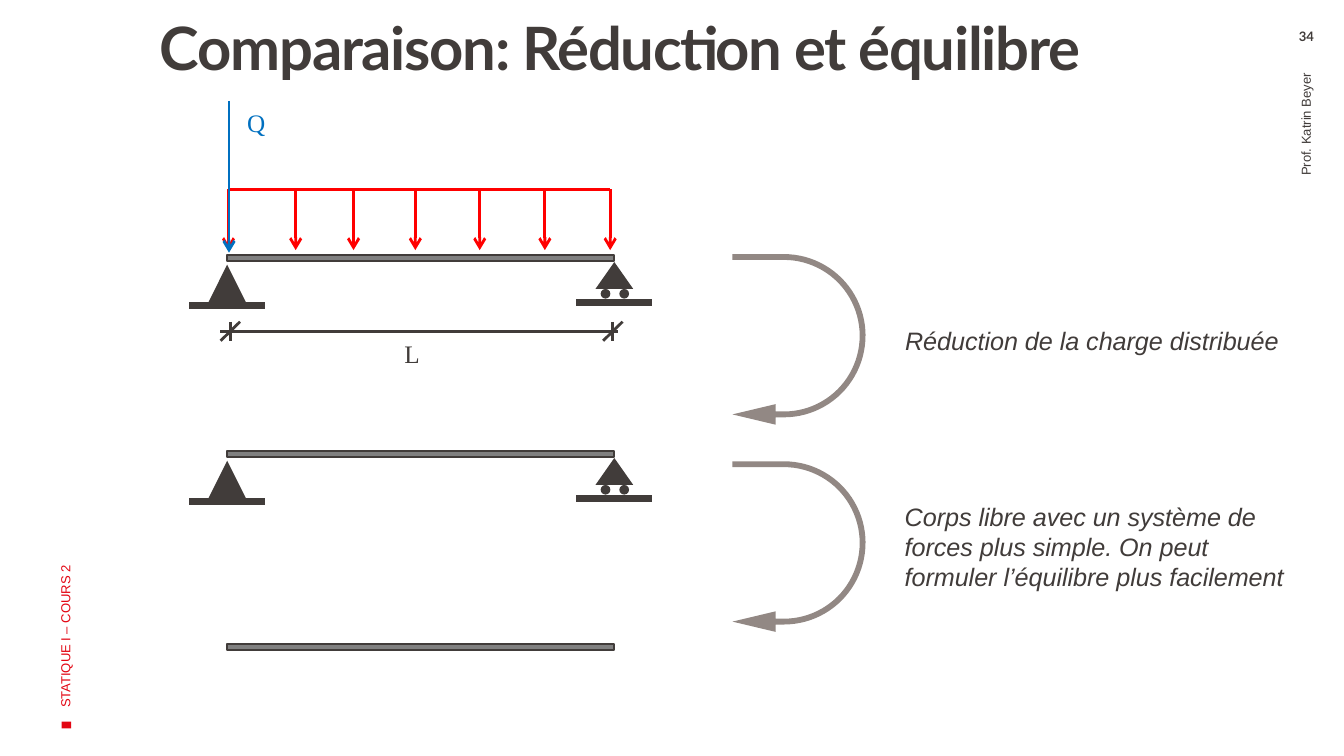
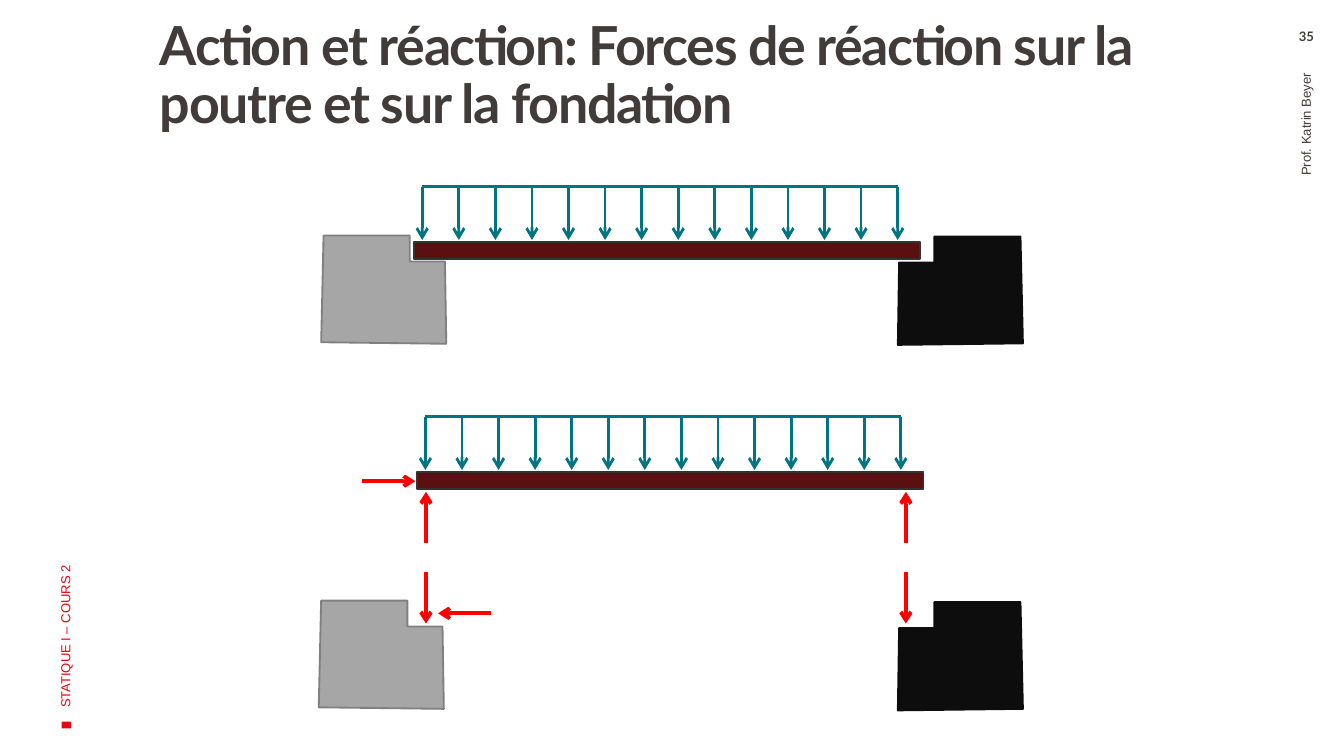
from pptx import Presentation
from pptx.dml.color import RGBColor
from pptx.enum.shapes import MSO_CONNECTOR, MSO_SHAPE
from pptx.enum.text import MSO_ANCHOR, MSO_AUTO_SIZE, PP_ALIGN
from pptx.oxml.ns import qn
from pptx.util import Pt
from lxml import etree

RECT, OVAL = MSO_SHAPE.RECTANGLE, MSO_SHAPE.OVAL
WEDGE, UTURN = MSO_SHAPE.ISOSCELES_TRIANGLE, MSO_SHAPE.U_TURN_ARROW
LINE = MSO_CONNECTOR.STRAIGHT
TOP, MID = MSO_ANCHOR.TOP, MSO_ANCHOR.MIDDLE
LEFT, MEAN, RIGHT = PP_ALIGN.LEFT, PP_ALIGN.CENTER, PP_ALIGN.RIGHT
FIXED = MSO_AUTO_SIZE.NONE

DARK, CRIMSON, RED, BLUE = "413C3A", "E30613", "FF0000", "0070C0"
TEAL, GREY, TAUPE, MAROON = "007480", "808080", "928884", "5A1010"
EDGE, STONE, BLACK = "343131", "A6A6A6", "0D0D0D"
SANS, HEAD, SERIF = "Arial", "Lato", "Times New Roman"
SPAN = 207.4
BLOCK = [(47.5, 0), (47.5, 13.9), (66.3, 13.9), (67, 58), (0, 57.2), (1.3, 0)]
WIDE = 67


def hue(code):
    """Turn a hex string into a colour."""
    return RGBColor.from_string(code)


def paint(shape, fill, edge=None):
    """Set the fill and outline of a shape and drop its shadow."""
    shape.shadow.inherit = False
    shape.fill.solid()
    shape.fill.fore_color.rgb = hue(fill)
    if edge:
        shape.line.color.rgb = hue(edge)
        shape.line.width = Pt(1)
    else:
        shape.line.fill.background()
    return shape


def solid(shapes, kind, box, fill, edge=None):
    """Add a painted preset shape."""
    return paint(shapes.add_shape(kind, *map(Pt, box)), fill, edge)


def rule(shapes, start, end, color, width=1.5, tip=False):
    """Add a line, with an arrowhead at its end if wanted."""
    line = shapes.add_connector(LINE, *map(Pt, (*start, *end)))
    line.line.color.rgb = hue(color)
    line.line.width = Pt(width)
    props = line._element.spPr
    if tip:
        etree.SubElement(props.find(qn("a:ln")), qn("a:tailEnd"), type="arrow")
    etree.SubElement(props, qn("a:effectLst"))


def style(frame, size, font, color, bold=False, slant=False, align=LEFT):
    """Format the only paragraph of a frame."""
    para = frame.paragraphs[0]
    para.alignment = align
    for run in para.runs:
        face = run.font
        face.size, face.name = Pt(size), font
        face.bold, face.italic = bold, slant
        face.color.rgb = hue(color)


def inset(frame, left, top, right, low):
    """Set the four margins of a frame."""
    frame.margin_left, frame.margin_top = Pt(left), Pt(top)
    frame.margin_right, frame.margin_bottom = Pt(right), Pt(low)


def label(shapes, box, words, size, font, color, wrap=True, **looks):
    """Add a text box holding one paragraph."""
    shape = shapes.add_textbox(*map(Pt, box))
    frame = shape.text_frame
    frame.text = words
    frame.word_wrap = wrap
    style(frame, size, font, color, **looks)
    return shape


def side(shapes, box, words, color, align=LEFT):
    """Add a small label that reads upwards."""
    shape = label(shapes, box, words, 7, SANS, color, align=align)
    shape.rotation = 270
    shape.text_frame.vertical_anchor = MID
    return shape.text_frame


def base(deck, words, size, page):
    """Add a slide with its title, side labels and page number."""
    slide = deck.slides.add_slide(deck.slide_layouts[5])
    title, shapes = slide.shapes.title, slide.shapes
    title.left, title.top, title.width, title.height = map(Pt, (71.3, 10.1, 552.2, 84.2))
    frame = title.text_frame
    frame.text = words
    frame.word_wrap, frame.auto_size = True, FIXED
    frame.vertical_anchor = TOP
    inset(frame, 14.4, 0, 5.8, 3.6)
    style(frame, size, HEAD, DARK, bold=True)
    para = frame.paragraphs[0]
    para.line_spacing = 0.9
    para.runs[0].font._element.set("spc", "-70")
    solid(shapes, RECT, (33.8, 385.9, 3.6, 5), CRIMSON).rotation = 270
    side(shapes, (-96.5, 218.9, 262.8, 72), "STATIQUE I – COURS 2", CRIMSON)
    name = side(shapes, (560.2, 147.6, 278.6, 40.3), "Prof. Katrin Beyer", DARK, RIGHT)
    name.margin_right = Pt(10.8)
    number = label(shapes, (679.7, 15.1, 40.3, 13), str(page), 7, HEAD, DARK,
                   bold=True, align=MEAN)
    inset(number.text_frame, 7.2, 0, 7.2, 0)
    return shapes


def load(shapes, spots, top, tip, color):
    """Draw a distributed load with an arrow at each spot."""
    rule(shapes, (spots[0], top), (spots[-1], top), color)
    for x in spots:
        rule(shapes, (x, top), (x, tip), color, tip=True)


def beam(shapes, x, y):
    """Draw the thin grey beam."""
    solid(shapes, RECT, (x, y, SPAN, 3.4), GREY, DARK)


def props(shapes, x, y):
    """Draw the pinned and the rolling support of a beam."""
    end = x + SPAN
    solid(shapes, WEDGE, (x - 10.1, y + 5.2, 20.2, 20.2), DARK)
    solid(shapes, WEDGE, (end - 10.1, y + 3.8, 20.2, 14.4), DARK)
    for mid, drop in ((x, 27), (end, 25.4)):
        rule(shapes, (mid - 20.4, y + drop), (mid + 20.4, y + drop), DARK, 4)
    for shift in (-4.7, 5.3):
        solid(shapes, OVAL, (end + shift - 2.6, y + 18.2, 5.2, 5.2), DARK)


def measure(shapes, x, y):
    """Draw the dimension line below a beam."""
    rule(shapes, (x - 3.7, y), (x + SPAN + 2.1, y), DARK)
    for mid in (x + 1.7, x + SPAN - 0.8):
        rule(shapes, (mid, y - 5.1), (mid, y + 5.1), DARK)
        rule(shapes, (mid - 5.2, y + 5.1), (mid + 5.2, y - 5.1), DARK)
    label(shapes, (x + 87.8, y + 0.3, 23, 26.6), "L", 13.5, SERIF, DARK, wrap=False)


def loaded(shapes, x, y):
    """Draw the supported beam with its loads and length."""
    spots = [x + step for step in (0.7, 36.7, 67.7, 100.8, 135.3, 170.2, 205.2)]
    load(shapes, spots, y - 35.1, y - 2.6, RED)
    props(shapes, x, y)
    measure(shapes, x, y + 40.9)
    rule(shapes, (x + 1, y - 82.6), (x + 1, y - 1.2), BLUE, tip=True)
    label(shapes, (x + 3.6, y - 82.6, 25.2, 26.6), "Q", 13.5, SERIF, BLUE, wrap=False)
    beam(shapes, x, y)


def turn(shapes, x, y):
    """Draw an arrow that leads down to the next step."""
    arrow = solid(shapes, UTURN, (x, y, 91.4, 71.3), TAUPE)
    arrow.rotation = 90
    for i, part in enumerate((0.044, 0.077, 0.324, 0.676, 1)):
        arrow.adjustments[i] = part


def block(shapes, x, y, flip=False):
    """Draw a notched foundation, mirrored on the right side."""
    spots = [(Pt(x + (WIDE - a if flip else a)), Pt(y + b)) for a, b in BLOCK]
    pen = shapes.build_freeform(*spots[0])
    pen.add_line_segments(spots[1:], close=True)
    fill, edge = (BLACK, BLACK) if flip else (STONE, GREY)
    paint(pen.convert_to_shape(), fill, edge)


def girder(shapes, x, y):
    """Draw the dark beam under its distributed load."""
    solid(shapes, RECT, (x, y, 271.4, 9.4), MAROON, EDGE)
    load(shapes, [x + 4.5 + i * 254.7 / 13 for i in range(14)], y - 29.4, y - 0.9, TEAL)


def forces(shapes, x, y):
    """Draw the reactions on the beam and on the foundations."""
    for mid in (x + 4.8, x + 261.9):
        rule(shapes, (mid, y + 38.2), (mid, y + 10.8), RED, 2, True)
        rule(shapes, (mid, y + 54), (mid, y + 81.4), RED, 2, True)
    rule(shapes, (x - 29.7, y + 5.1), (x - 0.9, y + 5.1), RED, 2, True)
    rule(shapes, (x + 39.4, y + 75.9), (x + 11.3, y + 75.9), RED, 2, True)


def reduce(deck):
    """Build the slide on reduction and equilibrium."""
    shapes = base(deck, "Comparaison: Réduction et équilibre", 32, 34)
    x = 121.7
    loaded(shapes.add_group_shape().shapes, x, 136.6)
    lower = shapes.add_group_shape().shapes
    props(lower, x, 241.6)
    beam(lower, x, 241.6)
    beam(shapes, x, 345)
    for y in (146.2, 257.2):
        turn(shapes, 382.3, y)
    label(shapes, (477.8, 170.6, 217.4, 23.8), "Réduction de la charge distribuée",
          13.5, SANS, DARK, wrap=False, slant=True)
    label(shapes, (477.6, 265, 221, 56.2),
          "Corps libre avec un système de forces plus simple. "
          "On peut formuler l’équilibre plus facilement", 13.5, SANS, DARK, slant=True)


def react(deck):
    """Build the slide on action and reaction."""
    shapes = base(deck, "Action et réaction: Forces de réaction sur la poutre "
                  "et sur la fondation", 28.8, 35)
    whole = shapes.add_group_shape().shapes
    girder(whole, 221.7, 129.5)
    block(whole, 172.1, 126.2)
    block(whole, 481, 126.8, True)
    apart = shapes.add_group_shape().shapes
    girder(apart, 223.4, 252.7)
    block(apart, 170.8, 321.8)
    block(apart, 481, 322.6, True)
    forces(apart, 223.4, 252.7)


def main():
    """Build and save the slides."""
    deck = Presentation()
    deck.slide_width, deck.slide_height = Pt(720), Pt(405)
    reduce(deck)
    react(deck)
    deck.save("out.pptx")


if __name__ == "__main__":
    main()
